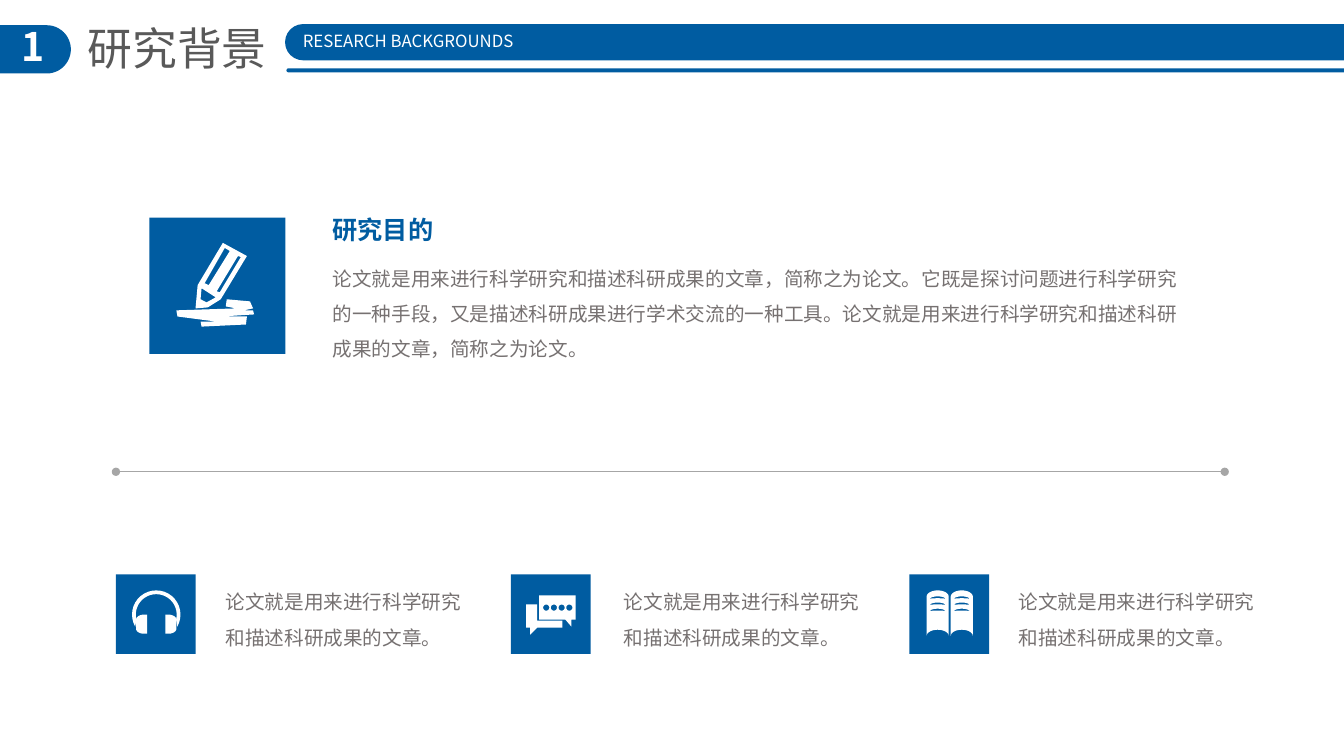
from math import cos, radians, sin

from lxml import etree
from pptx import Presentation
from pptx.dml.color import RGBColor
from pptx.enum.shapes import MSO_CONNECTOR, MSO_SHAPE
from pptx.enum.text import MSO_AUTO_SIZE, PP_ALIGN
from pptx.oxml.ns import qn
from pptx.util import Pt

RECT, PILL = MSO_SHAPE.RECTANGLE, MSO_SHAPE.ROUNDED_RECTANGLE
STRAIGHT = MSO_CONNECTOR.STRAIGHT
LEFT, CENTER = PP_ALIGN.LEFT, PP_ALIGN.CENTER
GROW = MSO_AUTO_SIZE.SHAPE_TO_FIT_TEXT

FONT = "Noto Sans CJK SC"
BLUE, WHITE, TITLE, BODY, RULE = "005CA1", "FFFFFF", "595959", "767171", "A6A6A6"

PURPOSE = ("论文就是用来进行科学研究和描述科研成果的文章，简称之为论文。"
           "它既是探讨问题进行科学研究的一种手段，又是描述科研成果进行学术交流的一种工具。"
           "论文就是用来进行科学研究和描述科研成果的文章，简称之为论文。")
POINT = "论文就是用来进行科学研究和描述科研成果的文章。"


def color(code):
    return RGBColor.from_string(code)


def arc(x, y, rx, ry, start, end, steps=24):
    """Points along an ellipse, clockwise from start to end degrees."""
    angles = [radians(start + (end - start) * i / steps) for i in range(steps + 1)]
    return [(x + rx * cos(a), y + ry * sin(a)) for a in angles]


# Icons: each is a list of outlines, each outline a list of contours,
# measured from the top left corner of the icon's tile
def pencil():
    body = [(52.6, 18), (69.8, 27.4), (51.1, 58.3), (41.8, 64.1), (33.1, 64.8), (34.6, 48.2)]
    paper = [(69.1, 76.3), (69.8, 70.6), (51.8, 70.6), (74.9, 69.1), (74.2, 66.2), (67.7, 66.2),
             (74.2, 64.8), (72, 59.8), (55.4, 58.3), (54.7, 63.4), (61.9, 64.8), (19.4, 66.2),
             (20.2, 70.6), (47.5, 74.2), (36.7, 74.2), (37.4, 77.8)]
    tip = [(41, 60.5), (47.5, 56.9), (37.4, 50.4), (36.7, 58.3)]
    right_edge = [(63.4, 27.4), (48.2, 52.6), (50.4, 53.3), (65.5, 28.1)]
    left_edge = [(54, 21.6), (39.6, 46.8), (42.5, 48.2), (57.6, 23.8)]
    return [[body, paper, tip, right_edge, left_edge]]


def headphones():
    middle = 28.8
    band = arc(middle, 28.8, 17.3, 17.3, 150, 390) + arc(middle, 28.8, 14.6, 14.6, 374, 166)
    left_cup = (arc(20.2, 38.9, 5.8, 3.6, 90, 180) + arc(20.2, 32.4, 5.8, 3.6, 180, 270)
                + [(22.3, 28.8), (22.3, 42.5)])
    right_cup = [(2 * middle - x, y) for x, y in left_cup]
    return [[band], [left_cup], [right_cup]]


def chat():
    back = [(13.7, 43.2), (18.7, 38.2), (36.7, 38.2), (36.7, 33.1), (18.7, 33.1),
            (18.7, 21.6), (10.8, 21.6), (10.8, 38.2), (13.7, 38.2)]
    front = [(38.9, 32.4), (43.2, 37.4), (43.2, 32.4), (46.1, 32.4),
             (46.1, 15.1), (20.2, 15.1), (20.2, 32.4)]
    dots = [arc(25.2 + 5.5 * i, 23.8, 2.2, 2.2, 0, 360) for i in range(4)]
    return [[back], [front] + dots]


def book():
    pages = []
    for x in (20.2, 37.4):
        leaf = arc(x, 16, 7.9, 4.5, 180, 360) + arc(x, 44, 7.9, 4.4, 360, 180)
        lines = [arc(x, y, 5.5, 1.8, 180, 360) + arc(x, y, 5.5, 0.5, 360, 180)
                 for y in (17.6, 22, 26.4)]
        pages.append([leaf] + lines)
    return pages


class Painter:
    def __init__(self, page):
        self.shapes = page.shapes

    def finish(self, shape, fill):
        shape.shadow.inherit = False
        shape.fill.solid()
        shape.fill.fore_color.rgb = color(fill)
        shape.line.fill.background()

    def block(self, kind, left, top, width, height):
        shape = self.shapes.add_shape(kind, Pt(left), Pt(top), Pt(width), Pt(height))
        if kind == PILL:
            shape.adjustments[0] = 0.5
        self.finish(shape, BLUE)

    def icon(self, left, top, size, outlines):
        self.block(RECT, left, top, size, size)
        for contours in outlines:
            placed = [[(Pt(left + x), Pt(top + y)) for x, y in points] for points in contours]
            builder = self.shapes.build_freeform(*placed[0][0], scale=1.0)
            builder.add_line_segments(placed[0][1:], close=True)
            for points in placed[1:]:
                builder.move_to(*points[0])
                builder.add_line_segments(points[1:], close=True)
            self.finish(builder.convert_to_shape(), WHITE)

    def text(self, left, top, width, height, words, size, ink, bold=False,
             align=LEFT, spacing=None, wrap=True, inset=True):
        box = self.shapes.add_textbox(Pt(left), Pt(top), Pt(width), Pt(height))
        frame = box.text_frame
        side, edge = (Pt(7.2), Pt(3.6)) if inset else (0, 0)
        frame_format = {"word_wrap": wrap, "auto_size": GROW, "margin_left": side,
                        "margin_right": side, "margin_top": edge, "margin_bottom": edge}
        para = frame.paragraphs[0]
        span = para.add_run()
        span.text = words
        for target, values in ((frame, frame_format),
                               (para, {"alignment": align, "line_spacing": spacing}),
                               (span.font, {"name": FONT, "size": Pt(size), "bold": bold})):
            for name, value in values.items():
                setattr(target, name, value)
        span.font.color.rgb = color(ink)
        # East Asian typeface
        etree.SubElement(span.font._element, qn("a:ea"), typeface=FONT)

    def rule(self, left, right, y):
        line = self.shapes.add_connector(STRAIGHT, Pt(left), Pt(y), Pt(right), Pt(y))
        line.line.color.rgb = color(RULE)
        line.line.width = Pt(0.5)
        outline = line.line._get_or_add_ln()
        for end in ("a:headEnd", "a:tailEnd"):
            etree.SubElement(outline, qn(end), type="oval")
        etree.SubElement(line._element.spPr, qn("a:effectLst"))


def main():
    deck = Presentation()
    deck.slide_width, deck.slide_height = Pt(960), Pt(540)
    painter = Painter(deck.slides.add_slide(deck.slide_layouts[6]))

    # Header
    painter.block(PILL, -20.16, 18, 70.8, 34.5)
    painter.text(5, 15.84, 36.7, 41, "1", 28, WHITE, bold=True, align=CENTER, inset=False)
    painter.text(55.44, 11.5, 144, 46, "研究背景", 32, TITLE, wrap=False)
    painter.block(PILL, 203.6, 17.2, 794, 25.9)
    painter.block(PILL, 204.6, 48.8, 794, 2.9)
    painter.text(205.2, 18.7, 172.8, 21.6, "RESEARCH BACKGROUNDS", 12, WHITE,
                 align=CENTER, wrap=False)

    # Research purpose
    painter.icon(106.6, 155.5, 97.2, pencil())
    painter.text(230.4, 149.8, 87, 28.8, "研究目的", 18, BLUE, bold=True, wrap=False)
    painter.text(230.4, 178.6, 622.8, 80.6, PURPOSE, 14, BODY, spacing=1.5)
    painter.rule(82.8, 874.8, 337)

    # Three points
    for tile_left, text_left, width, outlines in (
            (82.8, 154, 195, headphones()),
            (365, 438.5, 185, chat()),
            (649.6, 720.6, 188.6, book())):
        painter.icon(tile_left, 410.2, 56.9, outlines)
        painter.text(text_left, 409.7, width, 58.3, POINT, 14, BODY, spacing=1.5)

    deck.save("out.pptx")


if __name__ == "__main__":
    main()
